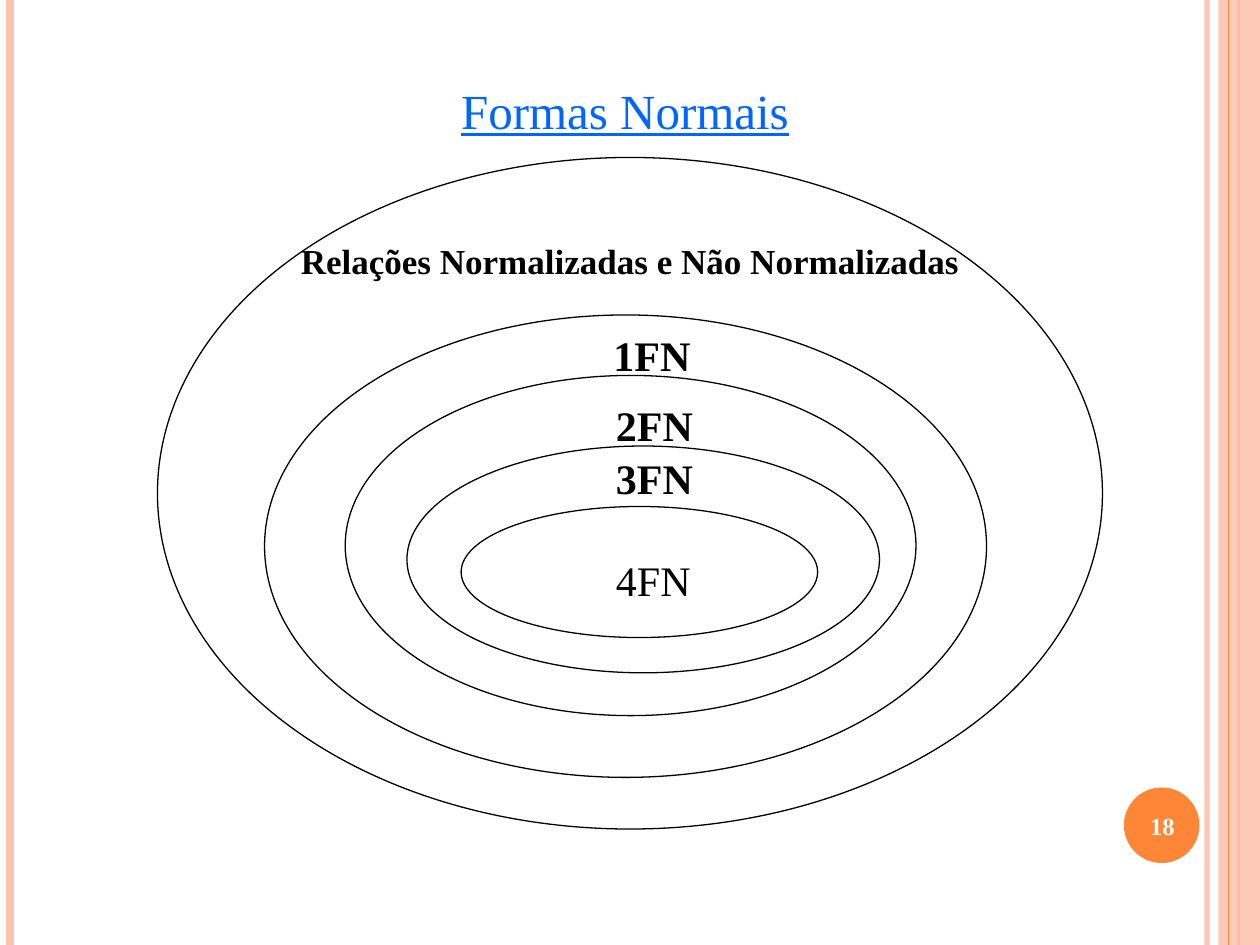
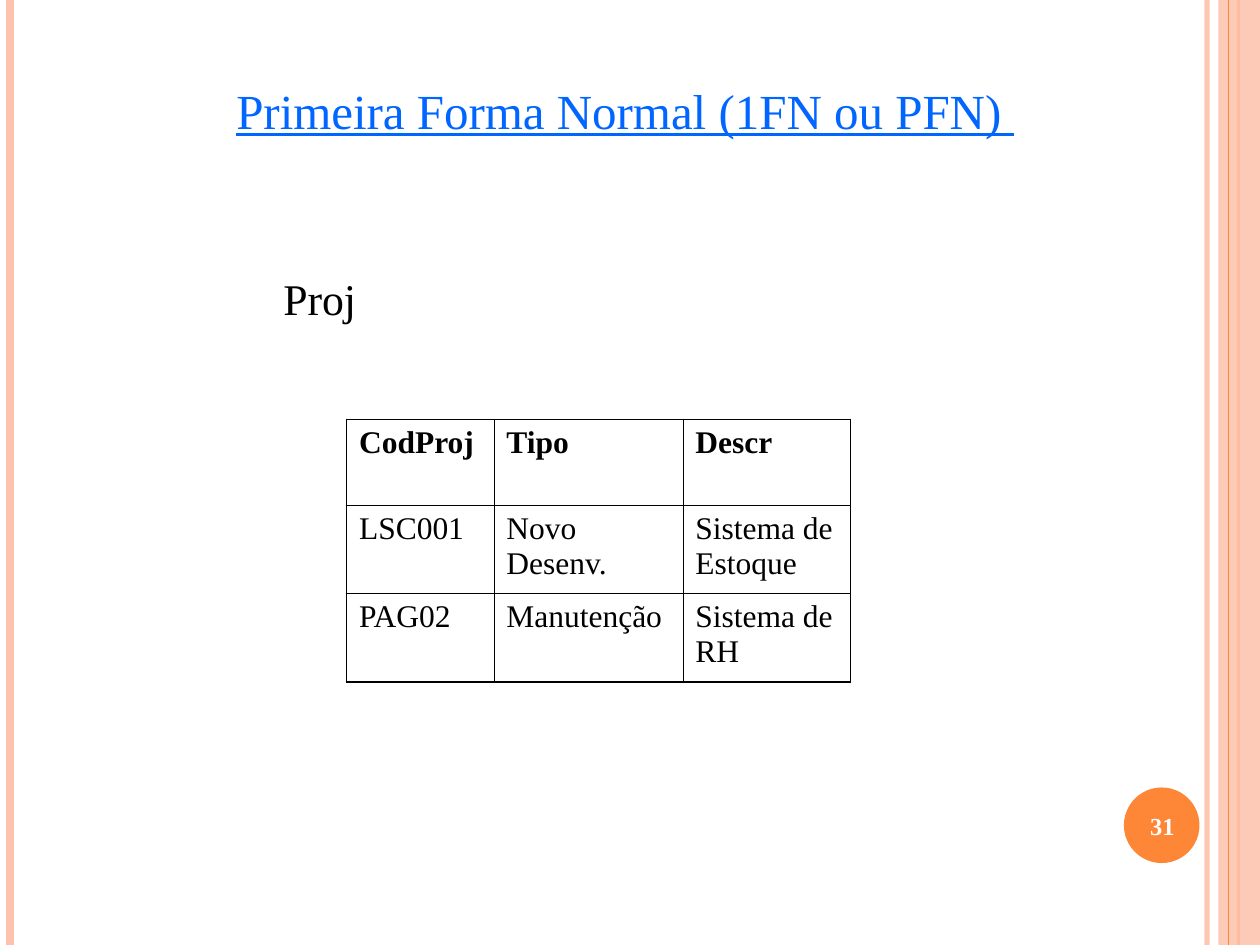
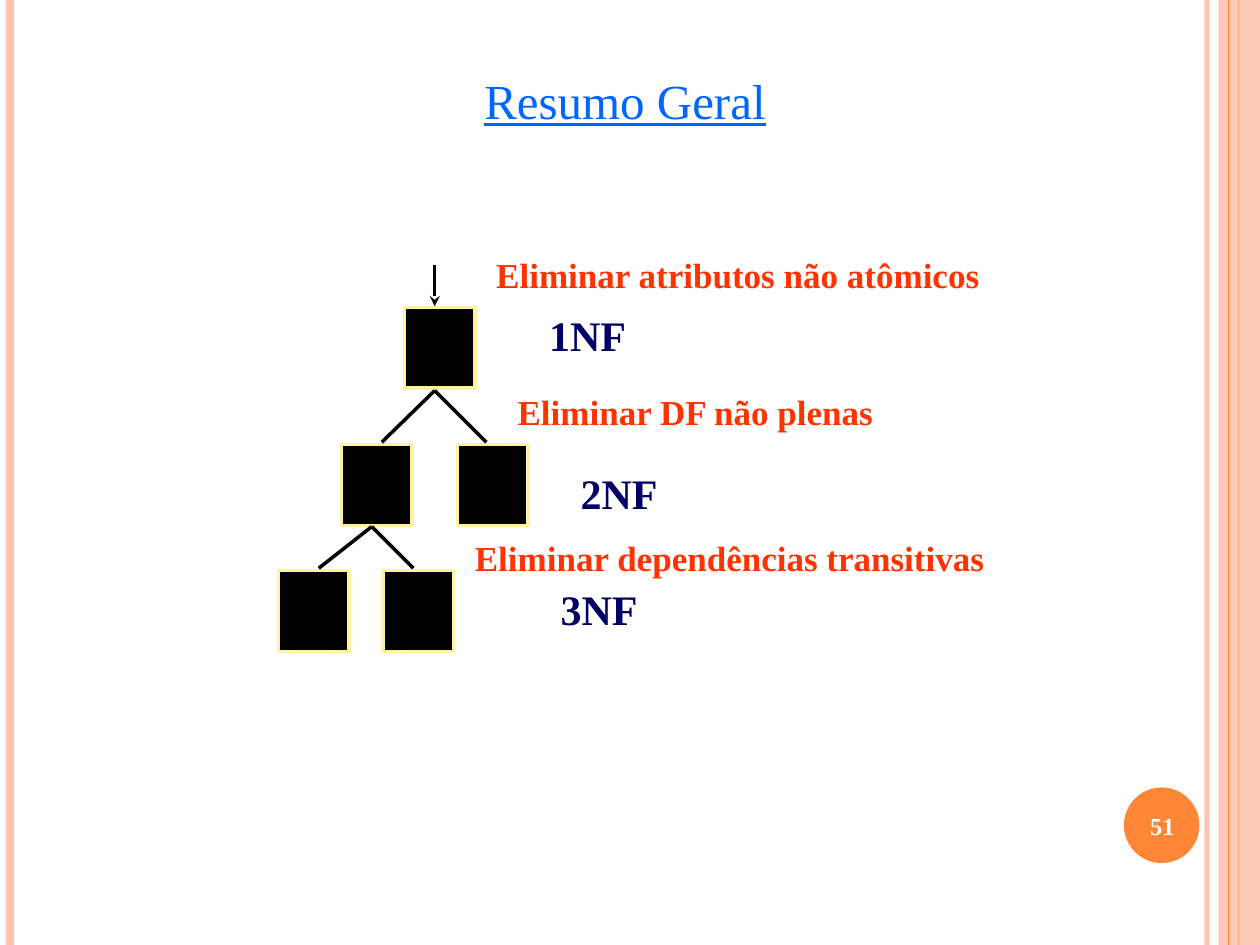
from pptx import Presentation
from pptx.dml.color import RGBColor
from pptx.enum.shapes import MSO_CONNECTOR, MSO_SHAPE
from pptx.enum.text import MSO_ANCHOR, MSO_AUTO_SIZE, PP_ALIGN
from pptx.oxml.ns import qn
from pptx.util import Inches, Pt
from lxml import etree

LEFT, CENTER = PP_ALIGN.LEFT, PP_ALIGN.CENTER
TOP, MIDDLE = MSO_ANCHOR.TOP, MSO_ANCHOR.MIDDLE
FIT_TEXT = MSO_AUTO_SIZE.SHAPE_TO_FIT_TEXT
STRAIGHT = MSO_CONNECTOR.STRAIGHT
ELLIPSE, RECTANGLE = MSO_SHAPE.OVAL, MSO_SHAPE.RECTANGLE

FONT = "Times New Roman"
BLACK, WHITE = "000000", "FFFFFF"
PEACH, ORANGE = "FEC3AE", "FE8637"
TITLE_BLUE, STEP_RED, FORM_NAVY, NODE_EDGE = "0066FF", "FF3300", "000066", "FFF39D"
WIDTH, HEIGHT = 10, 7.5

# Slide 1: nested ellipses (left, top, width, height) and their labels
ELLIPSES = [
    (1.25, 1.25, 7.5, 5.33),
    (2.1, 2.5, 5.73, 3.67),
    (2.74, 2.98, 4.53, 2.7),
    (3.23, 3.54, 3.75, 1.8),
    (3.66, 4.02, 2.83, 1.04),
]
OUTER_LABEL = "Relações Normalizadas e Não Normalizadas"
FORM_LABELS = [  # text, left, top, bold
    ("1FN", 4.77, 2.57, True),
    ("2FN", 4.79, 3.12, True),
    ("3FN", 4.79, 3.54, True),
    ("4FN", 4.79, 4.35, False),
]

# Slide 2: project table
PROJECTS = [
    ("CodProj", "Tipo", "Descr"),
    ("LSC001", "Novo Desenv.", "Sistema de Estoque"),
    ("PAG02", "Manutenção", "Sistema de RH"),
]
COLUMN_WIDTHS = [1.17, 1.5, 1.33]
ROW_HEIGHTS = [0.68, 0.7, 0.7]

# Slide 3: one entry for each level of the tree
NODE_SIZE = (0.56, 0.64)
LEVELS = [
    {"nodes": [3.21], "top": 2.44, "start": (3.45, 2.1), "ends": [(3.45, 2.43)],
     "arrow": "stealth", "form": ("1NF", 4.26, 2.41),
     "step": ("Eliminar atributos não atômicos", 3.84, 1.96, 4.04)},
    {"nodes": [3.63, 2.71], "top": 3.53, "start": (3.45, 3.1),
     "ends": [(3.03, 3.51), (3.86, 3.51)],
     "arrow": None, "form": ("2NF", 4.51, 3.66),
     "step": ("Eliminar DF não plenas", 4.01, 3.05, 3.04)},
    {"nodes": [3.04, 2.21], "top": 4.53, "start": (2.95, 4.18),
     "ends": [(2.53, 4.51), (3.28, 4.51)],
     "arrow": None, "form": ("3NF", 4.35, 4.58),
     "step": ("Eliminar dependências transitivas", 3.67, 4.21, 4.25)},
]


def color(value):
    """Turn a hex string into a colour."""
    return RGBColor.from_string(value)


def set_alpha(fill, percent):
    """Make a solid fill partly transparent."""
    node = fill._xPr.find(qn("a:solidFill"))[0]
    etree.SubElement(node, qn("a:alpha")).set("val", str(percent * 1000))


def write(frame, text, size=24, ink=BLACK, bold=False, underline=False,
          align=LEFT, anchor=TOP, wrap=True, before=0):
    """Put one formatted paragraph into a text frame."""
    frame.word_wrap = wrap
    frame.vertical_anchor = anchor
    para = frame.paragraphs[0]
    para.alignment = align
    para.space_before = Pt(before)
    span = para.add_run()
    span.text = text
    font = span.font
    font.name, font.size, font.bold, font.underline = FONT, Pt(size), bold, underline
    font.color.rgb = color(ink)


def add_text(shapes, text, place, **style):
    """Add a text box; unwrapped boxes fit their text."""
    box = shapes.add_textbox(*map(Inches, place))
    write(box.text_frame, text, **style)
    if not style.get("wrap", True):
        box.text_frame.auto_size = FIT_TEXT
    return box


def add_label(shapes, text, left, top, width=0.81, height=0.5, **style):
    """Add a one-line label that does not wrap."""
    return add_text(shapes, text, (left, top, width, height), wrap=False, **style)


def add_figure(shapes, kind, place, fill=None, edge=None, weight=0.74, alpha=None):
    """Add a preset shape with an optional fill and outline."""
    figure = shapes.add_shape(kind, *map(Inches, place))
    figure.shadow.inherit = False
    if fill:
        figure.fill.solid()
        figure.fill.fore_color.rgb = color(fill)
        if alpha:
            set_alpha(figure.fill, alpha)
    else:
        figure.fill.background()
    if edge:
        figure.line.color.rgb = color(edge)
        figure.line.width = Pt(weight)
    else:
        figure.line.fill.background()
    return figure


def add_line(shapes, start, end, ink=BLACK, weight=2, arrow=None, alpha=None):
    """Add a straight line, with an arrowhead at its end if asked."""
    line = shapes.add_connector(STRAIGHT, *map(Inches, start + end))
    line.line.color.rgb = color(ink)
    line.line.width = Pt(weight)
    if alpha:
        set_alpha(line.line.fill, alpha)
    properties = line._element.spPr
    if arrow:
        outline = properties.find(qn("a:ln"))
        etree.SubElement(outline, qn("a:tailEnd")).set("type", arrow)
    etree.SubElement(properties, qn("a:effectLst"))
    return line


def add_band(shapes, x, ink, weight, alpha=None):
    """Add a vertical line over the full height of the slide."""
    add_line(shapes, (x, 0), (x, HEIGHT), ink, weight, alpha=alpha)


def add_page(deck, title, number, title_top=0.33, title_height=1.08):
    """Add a slide with side bands, page number and title."""
    shapes = deck.slides.add_slide(deck.slide_layouts[6]).shapes
    add_band(shapes, 9.58, PEACH, 3, alpha=93)
    add_band(shapes, 0.08, PEACH, 4.5)
    add_band(shapes, 9.83, ORANGE, 1.5)
    add_figure(shapes, RECTANGLE, (9.67, 0, WIDTH - 9.67, HEIGHT), PEACH, alpha=87)
    add_band(shapes, 9.75, ORANGE, 0.74)
    add_figure(shapes, ELLIPSE, (8.92, 6.25, 0.6, 0.6), ORANGE)
    add_text(shapes, str(number), (8.89, 6.27, 0.67, 0.57), size=14, ink=WHITE,
             bold=True, align=CENTER, anchor=MIDDLE)
    add_text(shapes, title, (0.67, title_top, 8.58, title_height), size=28,
             ink=TITLE_BLUE, underline=True, align=CENTER, anchor=MIDDLE)
    return shapes


def set_borders(cell, weights):
    """Draw black cell borders; weights run left, right, top, bottom."""
    properties = cell._tc.get_or_add_tcPr()
    for index, (side, weight) in enumerate(zip("LRTB", weights)):
        line = etree.Element(qn(f"a:ln{side}"), w=str(Pt(weight)))
        fill = etree.SubElement(line, qn("a:solidFill"))
        etree.SubElement(fill, qn("a:srgbClr")).set("val", BLACK)
        properties.insert(index, line)


def add_grid(shapes, rows, left, top, thick=1.08, thin=0.45):
    """Add a table with a bold header and a thicker outer frame."""
    frame = shapes.add_table(len(rows), len(rows[0]), Inches(left), Inches(top),
                             Inches(sum(COLUMN_WIDTHS)), Inches(sum(ROW_HEIGHTS)))
    table = frame.table
    table.first_row = table.horz_banding = False
    for column, width in zip(table.columns, COLUMN_WIDTHS):
        column.width = Inches(width)
    for row, height in zip(table.rows, ROW_HEIGHTS):
        row.height = Inches(height)
    for r, values in enumerate(rows):
        for c, value in enumerate(values):
            cell = table.cell(r, c)
            cell.fill.background()
            write(cell.text_frame, value, size=18, bold=r == 0, before=4.5)
            outer = (c == 0, c == len(values) - 1, r == 0, r == len(rows) - 1)
            set_borders(cell, [thick if edge else thin for edge in outer])


def build_forms(deck):
    """Build the slide with the nested normal forms."""
    shapes = add_page(deck, "Formas Normais", 18)
    group = shapes.add_group_shape().shapes
    for place in ELLIPSES:
        add_figure(group, ELLIPSE, place, edge=BLACK)
    add_text(group, OUTER_LABEL, (1.25, 1.87, 7.5, 0.4), size=20, bold=True,
             align=CENTER, anchor=MIDDLE)
    for text, left, top, bold in FORM_LABELS:
        add_label(group, text, left, top, bold=bold)


def build_first_form(deck):
    """Build the slide with the project table."""
    shapes = add_page(deck, "Primeira Forma Normal (1FN ou PFN) ", 31)
    add_grid(shapes, PROJECTS, 2.75, 3.33)
    add_label(shapes, "Proj", 2.15, 2.11, 0.78, 0.52, size=25)


def build_summary(deck):
    """Build the slide with the decomposition tree."""
    shapes = add_page(deck, "Resumo Geral", 51, title_top=0.5, title_height=0.58)
    for level in LEVELS:
        group = shapes.add_group_shape().shapes
        for left in level["nodes"]:
            add_figure(group, RECTANGLE, (left, level["top"], *NODE_SIZE),
                       BLACK, NODE_EDGE, 2)
        for end in level["ends"]:
            add_line(group, level["start"], end, arrow=level["arrow"])
        add_label(group, *level["step"], height=0.43, size=20, ink=STEP_RED, bold=True)
        add_label(group, *level["form"], ink=FORM_NAVY, bold=True)


def main():
    """Build and save the deck."""
    deck = Presentation()
    deck.slide_width, deck.slide_height = Inches(WIDTH), Inches(HEIGHT)
    build_forms(deck)
    build_first_form(deck)
    build_summary(deck)
    deck.save("out.pptx")


main()
